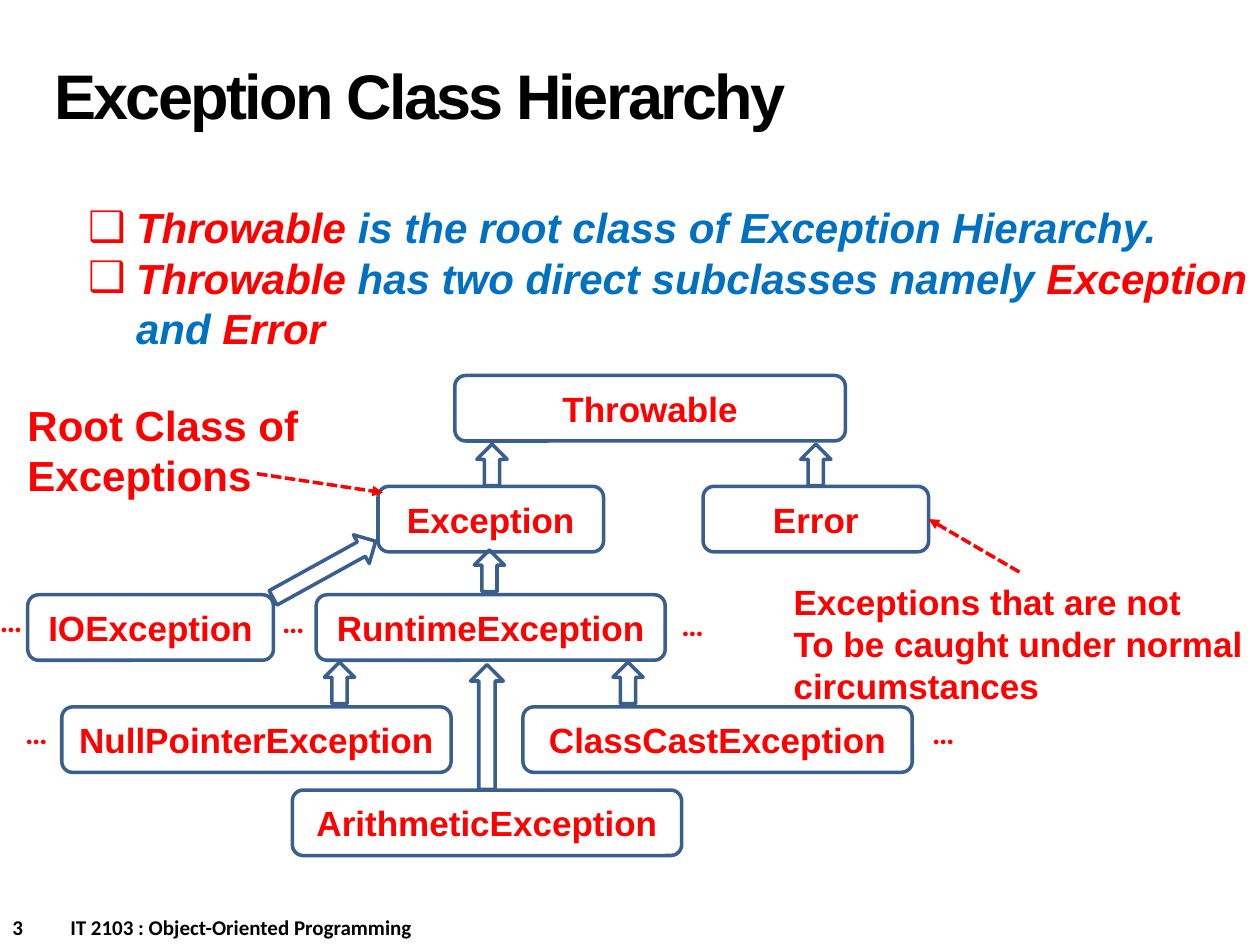
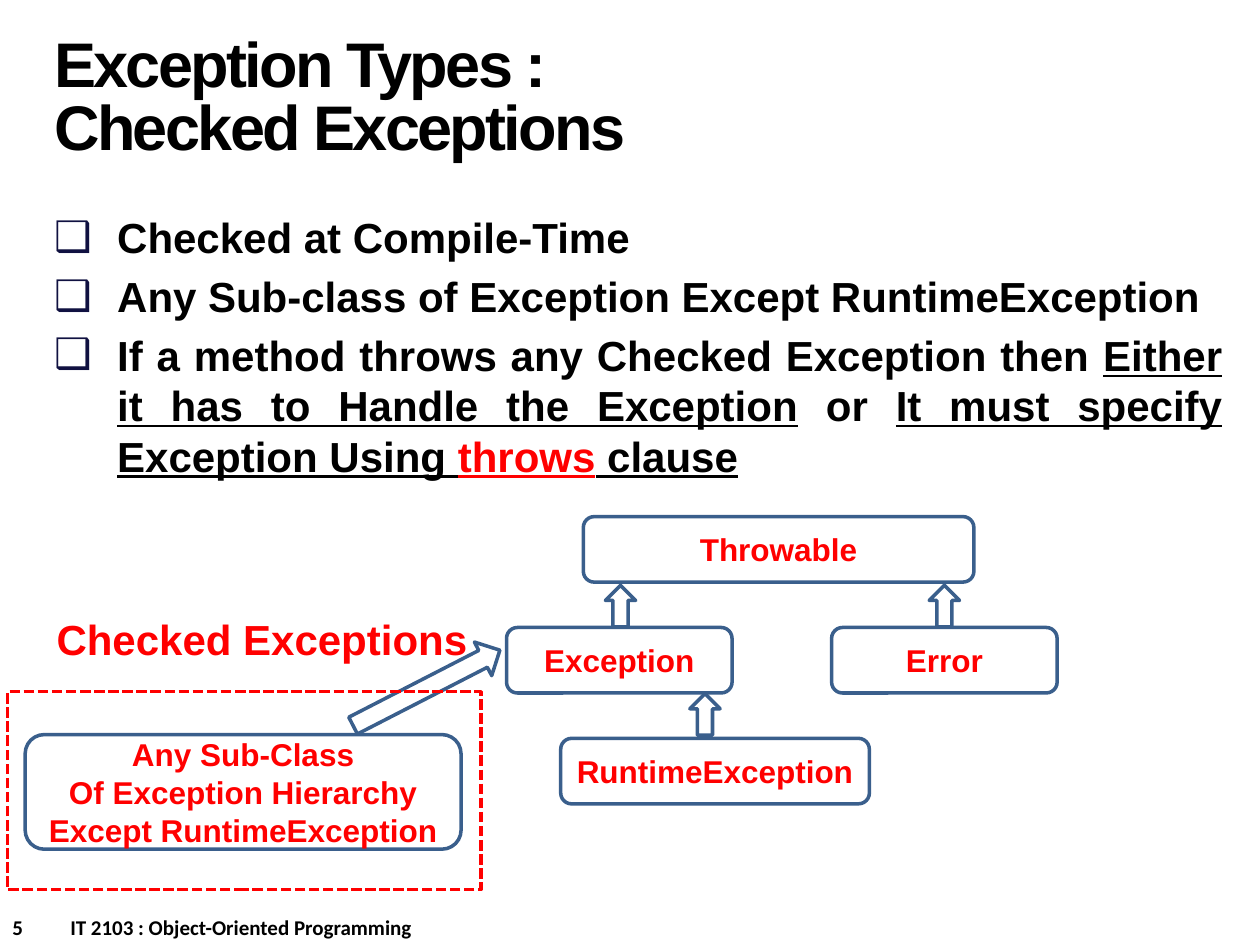
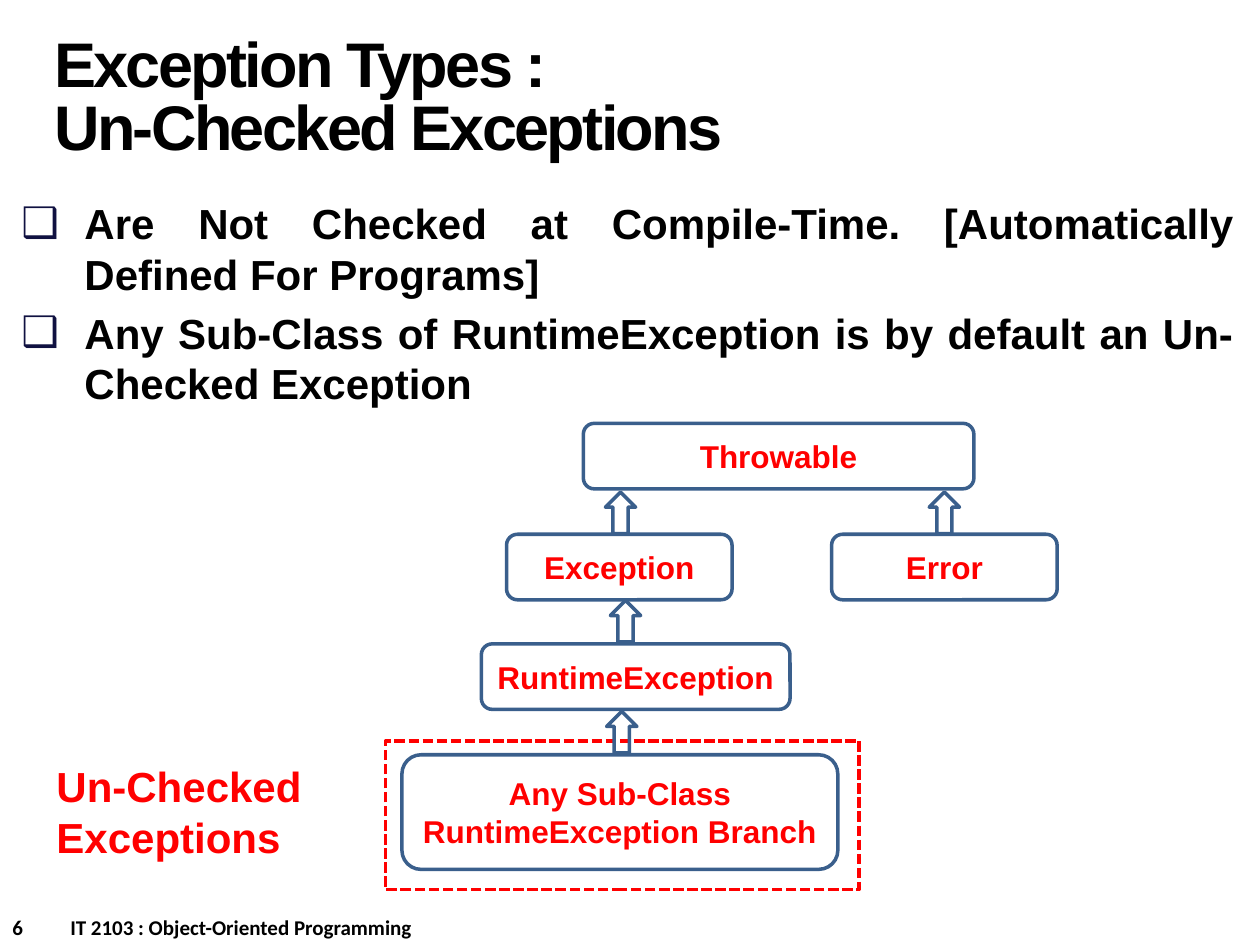
from lxml.etree import SubElement
from pptx import Presentation
from pptx.dml.color import RGBColor
from pptx.enum.dml import MSO_LINE
from pptx.enum.shapes import MSO_CONNECTOR, MSO_SHAPE
from pptx.enum.text import MSO_ANCHOR, MSO_AUTO_SIZE, PP_ALIGN
from pptx.oxml.ns import qn
from pptx.util import Inches, Pt

RED = RGBColor(0xFF, 0x00, 0x00)
BLUE = RGBColor(0x00, 0x70, 0xC0)
BLACK = RGBColor(0x00, 0x00, 0x00)
NAVY = RGBColor(0x10, 0x11, 0x41)
OUTLINE = RGBColor(0x3A, 0x5F, 0x8C)

BOX_HEIGHT = 0.52
COURSE = "IT 2103 : Object-Oriented Programming"


class Deck:
    def __init__(self):
        self.presentation = Presentation()
        self.presentation.slide_width = Inches(10)
        self.presentation.slide_height = Inches(7.5)
        self.slide = None
        self.box_size = 18

    def start(self, number, title, box_size):
        self.slide = self.presentation.slides.add_slide(self.presentation.slide_layouts[1])
        self.box_size = box_size
        self.title(title)
        self.footer(number)

    def place(self, shape, left, top, width, height):
        places = {"left": left, "top": top, "width": width, "height": height}
        for name, value in places.items():
            setattr(shape, name, Inches(value))

    def fill_text(self, shape, paragraphs, size, color=RED, name="Arial", italic=False, **paragraph_format):
        frame = shape.text_frame
        for index, content in enumerate(paragraphs):
            paragraph = frame.paragraphs[0] if index == 0 else frame.add_paragraph()
            for key, value in paragraph_format.items():
                setattr(paragraph, key, value)
            if index == 0:
                paragraph.space_before = Pt(0)
            runs = [(content, {})] if isinstance(content, str) else content
            for text, changes in runs:
                run = paragraph.add_run()
                run.text = text
                style = {"name": name, "size": Pt(size), "bold": True, "italic": italic}
                style.update(changes)
                run.font.color.rgb = style.pop("color", color)
                for key, value in style.items():
                    setattr(run.font, key, value)
        return frame.paragraphs

    def title(self, lines):
        shape = self.slide.shapes.title
        self.place(shape, 0.33, 0.17, 6.92, 1.25)
        shape.text_frame.auto_size = MSO_AUTO_SIZE.NONE
        shape.text_frame.vertical_anchor = MSO_ANCHOR.MIDDLE
        for paragraph in self.fill_text(shape, lines, 36, BLACK, alignment=PP_ALIGN.LEFT, line_spacing=Pt(36)):
            for run in paragraph.runs:
                run.font._element.set("spc", "-150")

    def footer(self, number):
        shape = self.text(0, 7.21, 5, 0.3, [f"{number}\t{COURSE}"], 12, color=BLACK, name="Calibri")
        properties = shape.text_frame.paragraphs[0]._p.get_or_add_pPr()
        tabs = SubElement(properties, qn("a:tabLst"))
        SubElement(tabs, qn("a:tab"), pos=str(Inches(0.46)), algn="l")

    def bullets(self, place, paragraphs, margin=0.5, hanging=0.5, bullet_color=NAVY, **style):
        shape = self.slide.placeholders[1]
        self.place(shape, *place)
        shape.text_frame.auto_size = MSO_AUTO_SIZE.NONE
        for paragraph in self.fill_text(shape, paragraphs, 24, **style):
            properties = paragraph._p.get_or_add_pPr()
            properties.set("marL", str(Inches(margin)))
            properties.set("indent", str(-Inches(hanging)))
            color = SubElement(properties, qn("a:buClr"))
            SubElement(color, qn("a:srgbClr"), val=str(bullet_color))
            SubElement(properties, qn("a:buFont"), typeface="Arial")
            SubElement(properties, qn("a:buChar"), char="❑")

    def text(self, left, top, width, height, paragraphs, size, wrap=True, **style):
        shape = self.slide.shapes.add_textbox(Inches(left), Inches(top), Inches(width), Inches(height))
        shape.text_frame.word_wrap = wrap
        self.fill_text(shape, paragraphs, size, **style)
        return shape

    def ellipsis(self, left, top):
        self.text(left, top, 0.38, 0.4, ["…"], 18, wrap=False, name="Calibri")

    def outline(self, kind, left, top, width, height, color=OUTLINE):
        shape = self.slide.shapes.add_shape(kind, Inches(left), Inches(top), Inches(width), Inches(height))
        shape.shadow.inherit = False
        shape.fill.background()
        shape.line.color.rgb = color
        shape.line.width = Pt(2)
        return shape

    def box(self, left, top, width, *lines, height=BOX_HEIGHT):
        shape = self.outline(MSO_SHAPE.ROUNDED_RECTANGLE, left, top, width, height)
        shape.text_frame.word_wrap = True
        shape.text_frame.vertical_anchor = MSO_ANCHOR.MIDDLE
        self.fill_text(shape, lines, self.box_size, alignment=PP_ALIGN.CENTER)
        return shape

    def arrow(self, left, top, width=0.33, height=0.24, rotation=270):
        self.outline(MSO_SHAPE.RIGHT_ARROW, left, top, width, height).rotation = rotation

    def dashed_frame(self, left, top, width, height):
        shape = self.outline(MSO_SHAPE.RECTANGLE, left, top, width, height, RED)
        shape.line.dash_style = MSO_LINE.SQUARE_DOT

    def pointer(self, start, end):
        points = [Inches(value) for value in (*start, *end)]
        connector = self.slide.shapes.add_connector(MSO_CONNECTOR.STRAIGHT, *points)
        connector.line.color.rgb = RED
        connector.line.width = Pt(2)
        connector.line.dash_style = MSO_LINE.SQUARE_DOT
        SubElement(connector.line._get_or_add_ln(), qn("a:tailEnd"), type="triangle")
        SubElement(connector._element.spPr, qn("a:effectLst"))
        return connector

    def throwable_tree(self, left, top):
        self.box(left, top, 3.1, "Throwable")
        for offset in (0.13, 2.7):
            self.arrow(left + offset, top + 0.59)
        self.box(left - 0.61, top + 0.88, 1.79, "Exception")
        return self.box(left + 1.97, top + 0.88, 1.79, "Error")


def hierarchy_slide(deck):
    red, blue = {"color": RED}, {"color": BLUE}
    deck.start(3, ["Exception Class Hierarchy"], 20)
    deck.bullets(
        (0.1, 1.55, 9.9, 1.31),
        [
            [("Throwable ", red), ("is the root class of Exception Hierarchy.", blue)],
            [("Throwable", red), (" has two direct subclasses namely ", blue), ("Exception", red),
             (" and ", blue), ("Error", red)],
        ],
        margin=0.88, hanging=0.38, bullet_color=RED, italic=True, space_before=Pt(0),
    )
    error = deck.throwable_tree(3.61, 2.98)
    deck.box(0.22, 4.72, 1.95, "IOException")
    deck.box(2.51, 4.72, 2.77, "RuntimeException")
    deck.box(0.49, 5.61, 3.09, "NullPointerException")
    deck.box(4.15, 5.61, 3.09, "ClassCastException")
    deck.box(2.32, 6.27, 3.09, "ArithmeticException")
    for left, top in ((3.72, 4.41), (2.53, 5.3), (4.82, 5.3)):
        deck.arrow(left, top)
    deck.arrow(2.11, 4.39, 0.93, 0.26, 331.1)
    deck.arrow(3.37, 5.64, 0.99, 0.26)
    for left, top in ((-0.1, 4.72), (2.14, 4.73), (5.31, 4.75), (0.1, 5.61), (7.3, 5.61)):
        deck.ellipsis(left, top)
    deck.pointer((2.04, 3.76), (3.04, 3.91))
    deck.text(0.12, 3.12, 2.46, 0.91, ["Root Class of", "Exceptions"], 24)
    deck.pointer((8.09, 4.54), (7.38, 4.12)).end_connect(error, 3)
    deck.text(6.2, 4.56, 3.8, 1.11,
              ["Exceptions that are not", "To be caught under normal circumstances"], 20)


def checked_slide(deck):
    underlined = {"underline": True}
    deck.start(5, ["Exception Types :", "Checked Exceptions"], 18)
    deck.bullets(
        (0.33, 1.63, 9.47, 2.51),
        [
            "Checked at Compile-Time",
            "Any Sub-class of Exception Except RuntimeException",
            [("If a method throws any Checked Exception then ", {}),
             ("Either it has to Handle the Exception", underlined), (" or ", {}),
             ("It must specify Exception Using ", underlined),
             ("throws", {"underline": True, "color": RED}), (" clause", underlined)],
        ],
        color=BLACK, alignment=PP_ALIGN.JUSTIFY, space_before=Pt(4.8),
    )
    deck.throwable_tree(4.63, 4.1)
    deck.arrow(2.73, 5.31, 1.31, 0.3, 332.8)
    deck.box(0.2, 5.83, 3.46, "Any Sub-Class", "Of Exception Hierarchy", "Except RuntimeException", height=0.91)
    deck.arrow(5.43, 5.55)
    deck.box(4.45, 5.86, 2.45, "RuntimeException")
    deck.dashed_frame(0.06, 5.49, 3.76, 1.57)
    deck.text(0.35, 4.82, 3.49, 0.5, ["Checked Exceptions"], 24, wrap=False)


def unchecked_slide(deck):
    deck.start(6, ["Exception Types :", "Un-Checked Exceptions"], 18)
    deck.bullets(
        (0.07, 1.52, 9.82, 1.3),
        [
            "Are Not Checked at Compile-Time. [Automatically Defined For Programs]",
            "Any Sub-Class of RuntimeException is by default an Un-Checked Exception",
        ],
        color=BLACK, alignment=PP_ALIGN.JUSTIFY, space_before=Pt(4.8),
    )
    deck.throwable_tree(4.63, 3.36)
    deck.box(3.19, 5.99, 3.46, "Any Sub-Class", "RuntimeException Branch", height=0.91)
    deck.arrow(4.8, 4.81)
    deck.box(3.82, 5.11, 2.45, "RuntimeException")
    deck.dashed_frame(3.06, 5.88, 3.76, 1.18)
    deck.text(0.35, 5.99, 2.26, 0.91, ["Un-Checked", "Exceptions"], 24, wrap=False)
    deck.arrow(4.77, 5.69)


def main():
    deck = Deck()
    for build in (hierarchy_slide, checked_slide, unchecked_slide):
        build(deck)
    deck.presentation.save("out.pptx")


if __name__ == "__main__":
    main()
